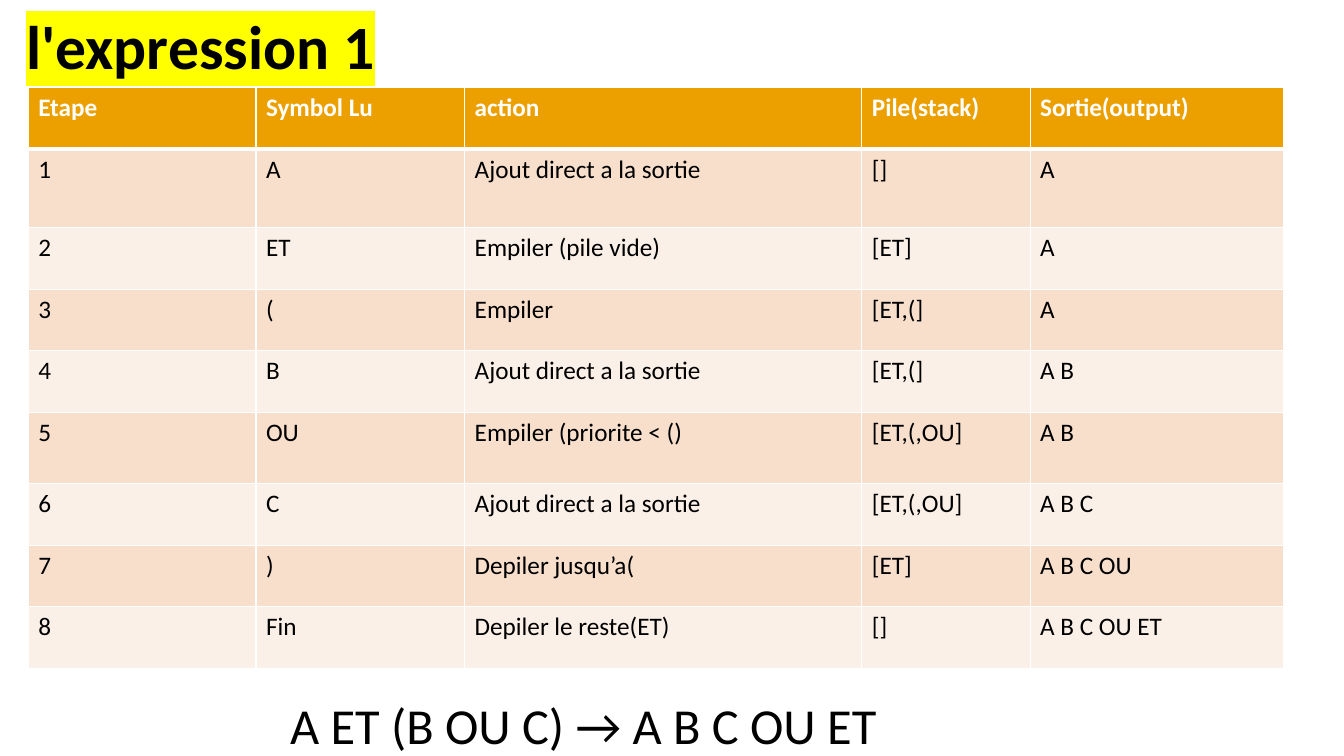
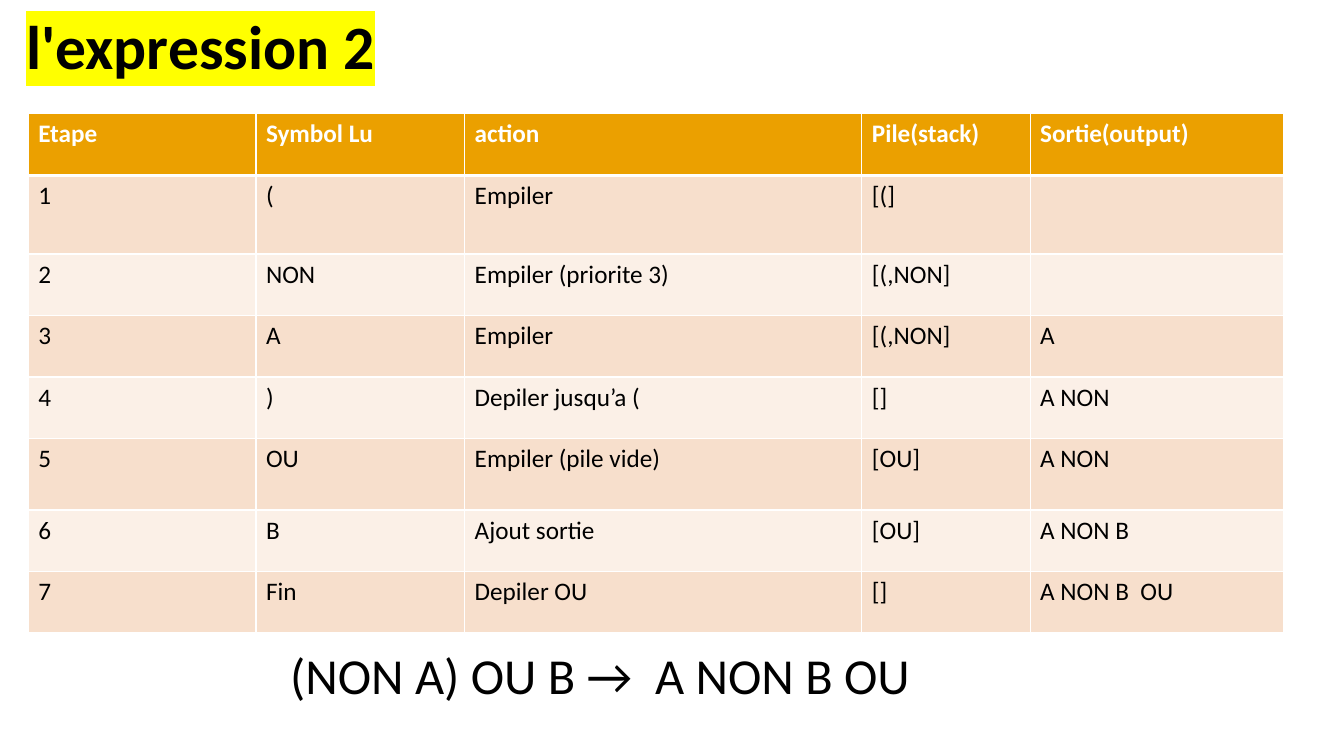
from dataclasses import dataclass

from lxml import etree
from pptx import Presentation
from pptx.dml.color import RGBColor
from pptx.enum import text as t
from pptx.oxml import ns
from pptx.util import Cm, Pt

FONT = "Calibri"
BLACK = RGBColor(0x00, 0x00, 0x00)
WHITE = RGBColor(0xFF, 0xFF, 0xFF)
GOLD = RGBColor(0xEB, 0xA0, 0x00)
PEACH = RGBColor(0xF7, 0xDF, 0xCC)
CREAM = RGBColor(0xFB, 0xF0, 0xE7)
YELLOW = RGBColor(0xFF, 0xFF, 0x00)

LEFT = 0.71
COLS = (5.74, 5.26, 10.01, 4.24, 6.38)
ROW = 1.55
TALL = {1: 1.98, 5: 1.8}
HEAD = ("Etape", "Symbol Lu", "action", "Pile(stack)", "Sortie(output)")


@dataclass(frozen=True)
class Page:
    title: str
    top: float
    steps: tuple[tuple[str, str, str, str], ...]
    result: str
    base: float


PAGES = (
    Page(
        "l'expression 1",
        2.21,
        (
            ("A", "Ajout direct a la sortie", "[]", "A"),
            ("ET", "Empiler (pile vide)", "[ET]", "A"),
            ("(", "Empiler", "[ET,(]", "A"),
            ("B", "Ajout direct a la sortie", "[ET,(]", "A B"),
            ("OU", "Empiler (priorite < ()", "[ET,(,OU]", "A B"),
            ("C", "Ajout direct a la sortie", "[ET,(,OU]", "A B C"),
            (")", "Depiler jusqu’a(", "[ET]", "A B C OU"),
            ("Fin", "Depiler le reste(ET)", "[]", "A B C OU ET"),
        ),
        "A ET (B OU C) → A B C OU ET",
        17.37,
    ),
    Page(
        "l'expression 2",
        2.87,
        (
            ("(", "Empiler", "[(]", ""),
            ("NON", "Empiler (priorite 3)", "[(,NON]", ""),
            ("A", "Empiler", "[(,NON]", "A"),
            (")", "Depiler jusqu’a (", "[]", "A NON"),
            ("OU", "Empiler (pile vide)", "[OU]", "A NON"),
            ("B", "Ajout sortie", "[OU]", "A NON B"),
            ("Fin", "Depiler OU", "[]", "A NON B  OU"),
        ),
        "(NON A) OU B →  A NON B OU",
        16.1,
    ),
)


def write(frame, words: str, *, size: float = 18, color: RGBColor = BLACK,
          bold: bool = False, mark: RGBColor | None = None) -> None:
    para = frame.paragraphs[0]
    para.alignment = t.PP_ALIGN.LEFT
    if not words:
        para.font.size = Pt(size)
        return
    run = para.add_run()
    run.text = words
    font = run.font
    font.name = FONT
    font.size = Pt(size)
    font.bold = bold
    font.color.rgb = color
    if mark is not None:
        glow = etree.Element(ns.qn("a:highlight"))
        etree.SubElement(glow, ns.qn("a:srgbClr"), val=str(mark))
        font.fill._xPr.find(ns.qn("a:solidFill")).addnext(glow)


def add_box(slide, left: float, top: float, width: float, height: float):
    box = slide.shapes.add_textbox(Cm(left), Cm(top), Cm(width), Cm(height))
    box.text_frame.word_wrap = True
    return box.text_frame


def edge(cell, widths: dict[str, float]) -> None:
    props = cell._tc.get_or_add_tcPr()
    for spot, (side, width) in enumerate(widths.items()):
        line = etree.Element(ns.qn(f"a:ln{side}"), w=str(int(Pt(width))))
        fill = etree.SubElement(line, ns.qn("a:solidFill"))
        etree.SubElement(fill, ns.qn("a:srgbClr"), val=str(WHITE))
        props.insert(spot, line)


def add_grid(slide, page: Page) -> None:
    rows = [HEAD]
    rows += [(str(num), *step) for num, step in enumerate(page.steps, 1)]
    highs = [TALL.get(num, ROW) for num in range(len(rows))]
    grid = slide.shapes.add_table(
        len(rows), len(COLS), Cm(LEFT), Cm(page.top), Cm(sum(COLS)), Cm(sum(highs))
    ).table
    grid.horz_banding = False
    for col, width in zip(grid.columns, COLS):
        col.width = Cm(width)
    for num, (row, high, words) in enumerate(zip(grid.rows, highs, rows)):
        row.height = Cm(high)
        top = num == 0
        back = GOLD if top else PEACH if num % 2 else CREAM
        for cell, word in zip(row.cells, words):
            cell.fill.solid()
            cell.fill.fore_color.rgb = back
            edge(cell, {"L": 1, "R": 1, "T": 3 if num == 1 else 1, "B": 3 if top else 1})
            write(cell.text_frame, word, color=WHITE if top else BLACK, bold=top)


def add_page(deck, page: Page) -> None:
    slide = deck.slides.add_slide(deck.slide_layouts[6])
    add_grid(slide, page)
    foot = add_box(slide, LEFT, page.base, 31.67, 1.78)
    foot.margin_left = Cm(6.6)
    write(foot, page.result, size=36)
    write(add_box(slide, 0.41, 0.08, 10.8, 2.11), page.title,
          size=44, bold=True, mark=YELLOW)


def main() -> None:
    deck = Presentation()
    deck.slide_width = Cm(33.87)
    deck.slide_height = Cm(19.05)
    for page in PAGES:
        add_page(deck, page)
    deck.save("out.pptx")


if __name__ == "__main__":
    main()
